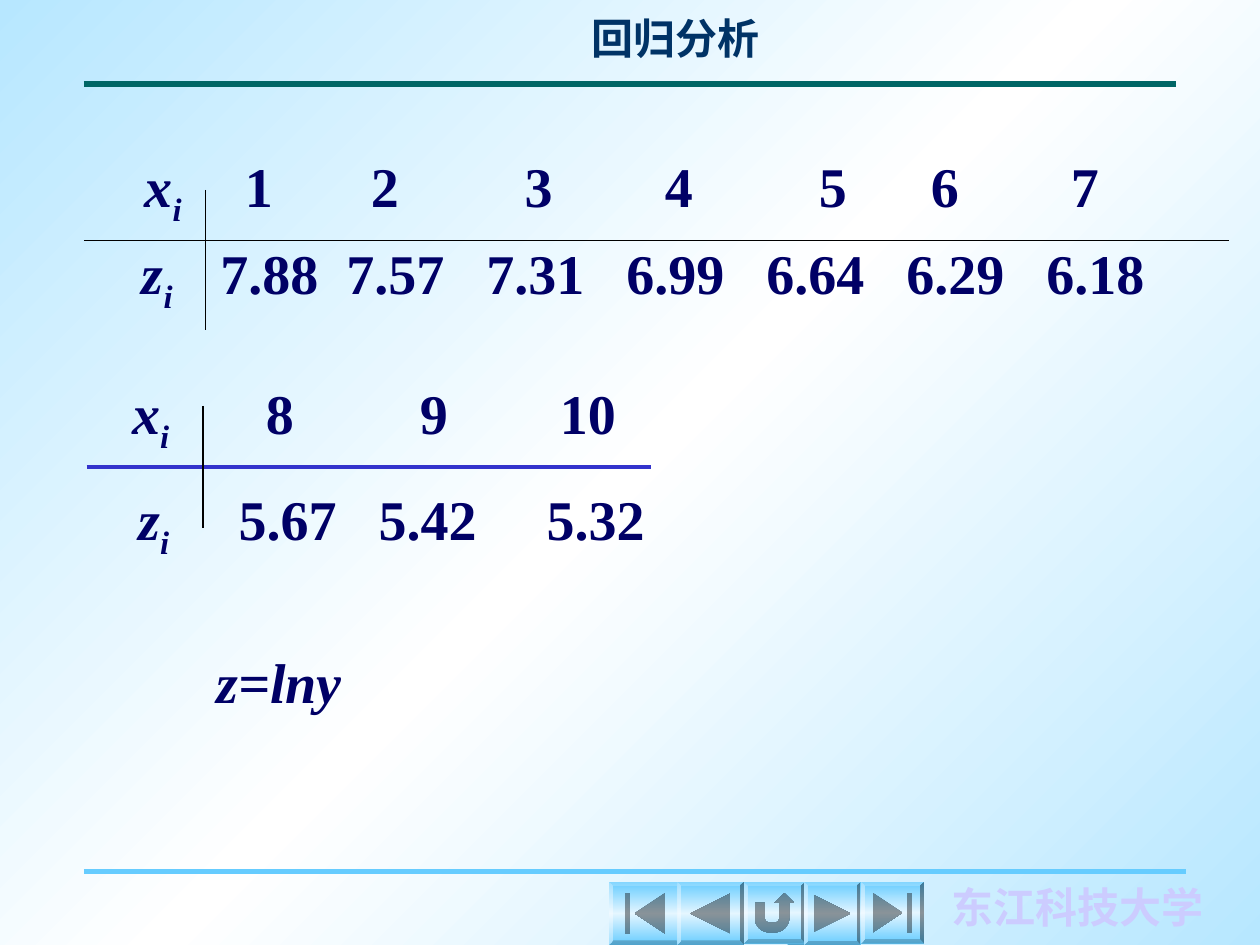
from copy import deepcopy
from math import cos, radians, sin

from lxml import etree
from pptx import Presentation
from pptx.dml.color import RGBColor
from pptx.enum.shapes import MSO_CONNECTOR
from pptx.enum.text import MSO_ANCHOR, PP_ALIGN
from pptx.oxml.ns import qn
from pptx.util import Pt

STRAIGHT = MSO_CONNECTOR.STRAIGHT
TOP = MSO_ANCHOR.TOP
CENTER = PP_ALIGN.CENTER

PALE = RGBColor(0xB7, 0xE7, 0xFF)
WHITE = RGBColor(0xFF, 0xFF, 0xFF)
NAVY = RGBColor(0x00, 0x00, 0x66)
DEEP = RGBColor(0x00, 0x33, 0x66)
TEAL = RGBColor(0x00, 0x66, 0x66)
SKY = RGBColor(0x66, 0xCC, 0xFF)
ICE = RGBColor(0xE5, 0xF6, 0xFF)
BLUE = RGBColor(0x33, 0x33, 0xCC)
BLACK = RGBColor(0x00, 0x00, 0x00)
LILAC = RGBColor(0xCC, 0xCC, 0xFF)

SERIF = "Times New Roman"
HAN = "Noto Sans CJK SC"


def shade(fill, root, edge, mid, angle):
    """Give a fill a gradient that runs from edge to mid and back."""
    fill.gradient()
    stops = next(root.iter(qn("a:gsLst")))
    stops.append(deepcopy(stops[1]))
    for stop, place, color in zip(fill.gradient_stops, (0, 0.5, 1), (edge, mid, edge)):
        stop.position = place
        stop.color.rgb = color
    fill.gradient_angle = angle


def arc(x, y, r, start, end):
    """Points on a circle from start to end, in degrees."""
    turns = [radians(start + (end - start) * n / 8) for n in range(9)]
    return [(x + r * cos(t), y + r * sin(t)) for t in turns]


deck = Presentation()
deck.slide_width, deck.slide_height = Pt(720), Pt(540)
slide = deck.slides.add_slide(deck.slide_layouts[5])
shapes = slide.shapes
shade(slide.background.fill, slide.element, PALE, WHITE, 315)

# Title and school name
title = shapes.title
school = shapes.add_textbox(Pt(537), Pt(500), Pt(158), Pt(40))
title.left, title.top, title.width, title.height = Pt(242), Pt(3.6), Pt(288), Pt(33)
for box, text, color in ((title, "回归分析", DEEP), (school, "东江科技大学", LILAC)):
    frame = box.text_frame
    frame.word_wrap = True
    frame.vertical_anchor = TOP
    frame.margin_left = frame.margin_right = 0
    frame.margin_top, frame.margin_bottom = Pt(3.6), Pt(0.7)
    line = frame.paragraphs[0]
    line.text = text
    line.alignment = CENTER
    font = line.font
    font.size, font.bold, font.name = Pt(24), True, HAN
    font.color.rgb = color
    props = next(line._p.iter(qn("a:defRPr")))
    etree.SubElement(props, qn("a:ea")).set("typeface", HAN)

# Navigation buttons: left, width, height, icon outlines in units of its half size
first = [
    [(-0.5, 0), (1, -1), (1, 1)],
    [(-1, -1), (-0.75, -1), (-0.75, 1), (-1, 1)],
]
last = [[(-x, y) for x, y in part] for part in first]
back = [[(-1, 0), (1, -1), (1, 1)]]
ahead = [[(-x, y) for x, y in part] for part in back]
home = [
    [(-1, -0.5), (-0.5, -0.5)]
    + arc(-0.25, 0.25, 0.25, 180, 90)
    + arc(0, 0.25, 0.25, 90, 0)
    + [(0.25, -0.5), (0, -0.5), (0.5, -1), (1, -0.5), (0.75, -0.5)]
    + arc(0, 0.25, 0.75, 0, 90)
    + arc(-0.25, 0.25, 0.75, 90, 180)
]
buttons = [
    (450, 42, 36, first),
    (348, 41, 36, first),
    (387, 38, 36, back),
    (425, 35.2, 35.2, home),
    (459.5, 32.3, 36, ahead),
    (492, 36, 35.2, last),
]
tones = ["norm", "lightenLess", "darken", "darkenLess", "lighten"]
for left, width, height, icon in buttons:
    top, side = 504, min(width, height)
    right, base = left + width, top + height
    midx, midy = left + width / 2, top + height / 2
    rim, half = side / 16, side * 0.32
    outer = [(left, top), (right, top), (right, base), (left, base)]
    inner = [
        (left + rim, top + rim),
        (right - rim, top + rim),
        (right - rim, base - rim),
        (left + rim, base - rim),
    ]
    parts = [outer]
    for n in range(4):
        m = (n + 1) % 4
        parts.append([outer[n], outer[m], inner[m], inner[n]])
    for part in icon:
        parts.append([(midx + half * x, midy + half * y) for x, y in part])

    pen = shapes.build_freeform(Pt(left), Pt(top))
    for n, part in enumerate(parts):
        points = [(Pt(x), Pt(y)) for x, y in part]
        if n:
            pen.move_to(*points[0])
        pen.add_line_segments(points[1:], close=True)
    button = pen.convert_to_shape()
    button.shadow.inherit = False
    button.line.fill.background()
    shade(button.fill, button.element, SKY, ICE, 90)

    # One tone for each part: face, four bevels, icon
    whole = next(button.element.iter(qn("a:path")))
    home_list = whole.getparent()
    steps = list(whole)
    home_list.remove(whole)
    count = 0
    for step in steps:
        if step.tag == qn("a:moveTo"):
            piece = etree.SubElement(home_list, qn("a:path"), dict(whole.attrib))
            piece.set("fill", tones[count] if count < 5 else "darken")
            piece.set("stroke", "0")
            count += 1
        piece.append(step)

# Rules of the page and of both tables
rules = [
    (48, 498, 678, 498, SKY, 3),
    (48, 48, 672, 48, TEAL, 3),
    (48, 137.5, 702, 137.5, BLACK, 0.75),
    (117.4, 108.5, 117.4, 188.5, BLACK, 0.75),
    (49.5, 267, 372, 267, BLUE, 2.25),
    (116, 232, 116, 302, BLACK, 0.75),
]
for x1, y1, x2, y2, color, weight in rules:
    rule = shapes.add_connector(STRAIGHT, Pt(x1), Pt(y1), Pt(x2), Pt(y2))
    rule.line.color.rgb = color
    rule.line.width = Pt(weight)
    etree.SubElement(rule.element.spPr, qn("a:effectLst"))

# Table rows: left, top, width, name, index, values and where each starts
rows = [
    (75.6, 83, 601, "x", "i", "1 2 3 4 5 6 7", (140, 212, 300, 380, 468, 532, 612)),
    (74, 133, 612, "z", "i", "7.88 7.57 7.31 6.99 6.64 6.29 6.18",
     (126, 198, 278, 358, 438, 518, 598)),
    (68.4, 213, 292, "x", "i", "8 9 10", (152, 240, 320)),
    (72, 273.5, 305, "z", "i", "5.67 5.42 5.32", (136.5, 216.5, 312.5)),
    (116.6, 366.5, 86, "z=lny", "", "", ()),
]
for left, top, width, name, index, values, starts in rows:
    box = shapes.add_textbox(Pt(left), Pt(top), Pt(width), Pt(46))
    box.text_frame.word_wrap = True
    line = box.text_frame.paragraphs[0]
    font = line.font
    font.size, font.bold, font.name = Pt(32), True, SERIF
    font.color.rgb = NAVY
    line.add_run().text = name
    line.runs[0].font.italic = True
    if not index:
        continue
    sub = line.add_run()
    sub.text = index
    sub.font.italic = True
    sub._r.get_or_add_rPr().set("baseline", "-25000")
    line.add_run().text = "".join("\t" + value for value in values.split())
    tabs = etree.Element(qn("a:tabLst"))
    for start in starts:
        place = str(Pt(start - left - 7.2))
        etree.SubElement(tabs, qn("a:tab"), pos=place, algn="l")
    line._p.get_or_add_pPr().insert(0, tabs)

deck.save("out.pptx")
